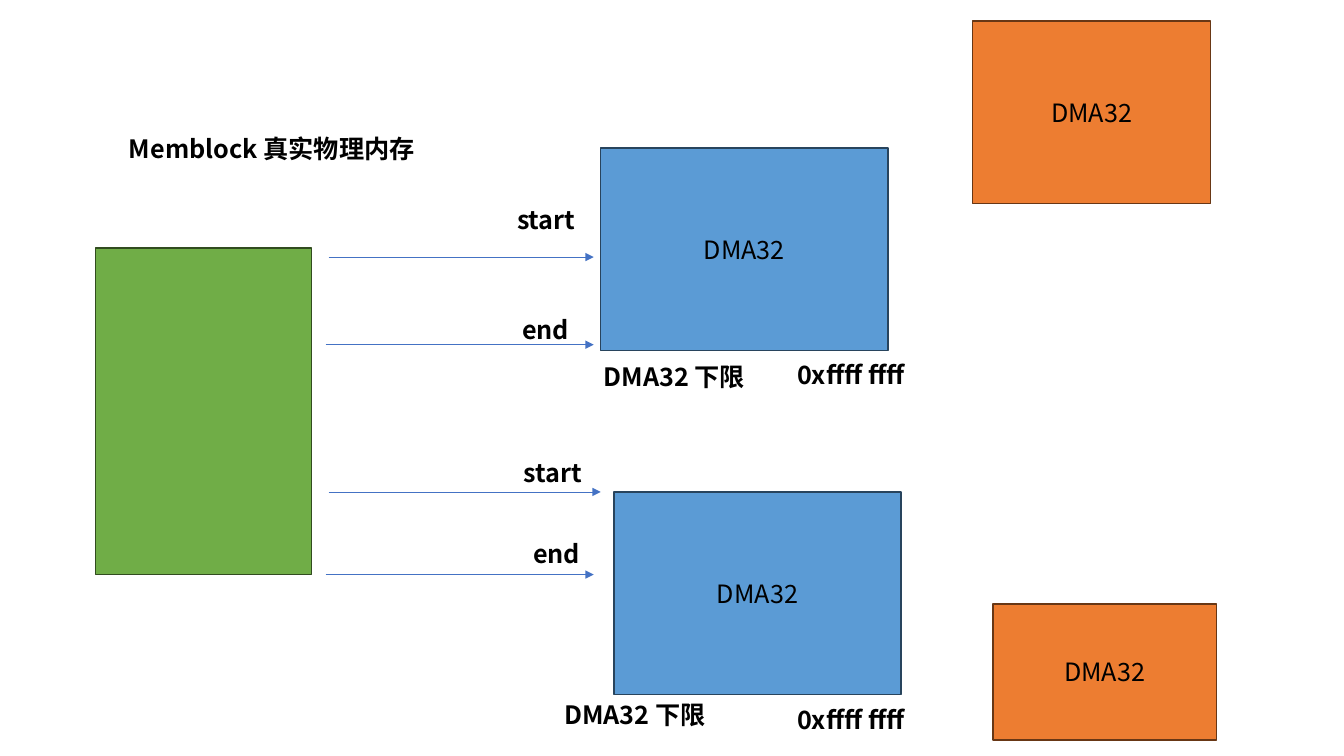
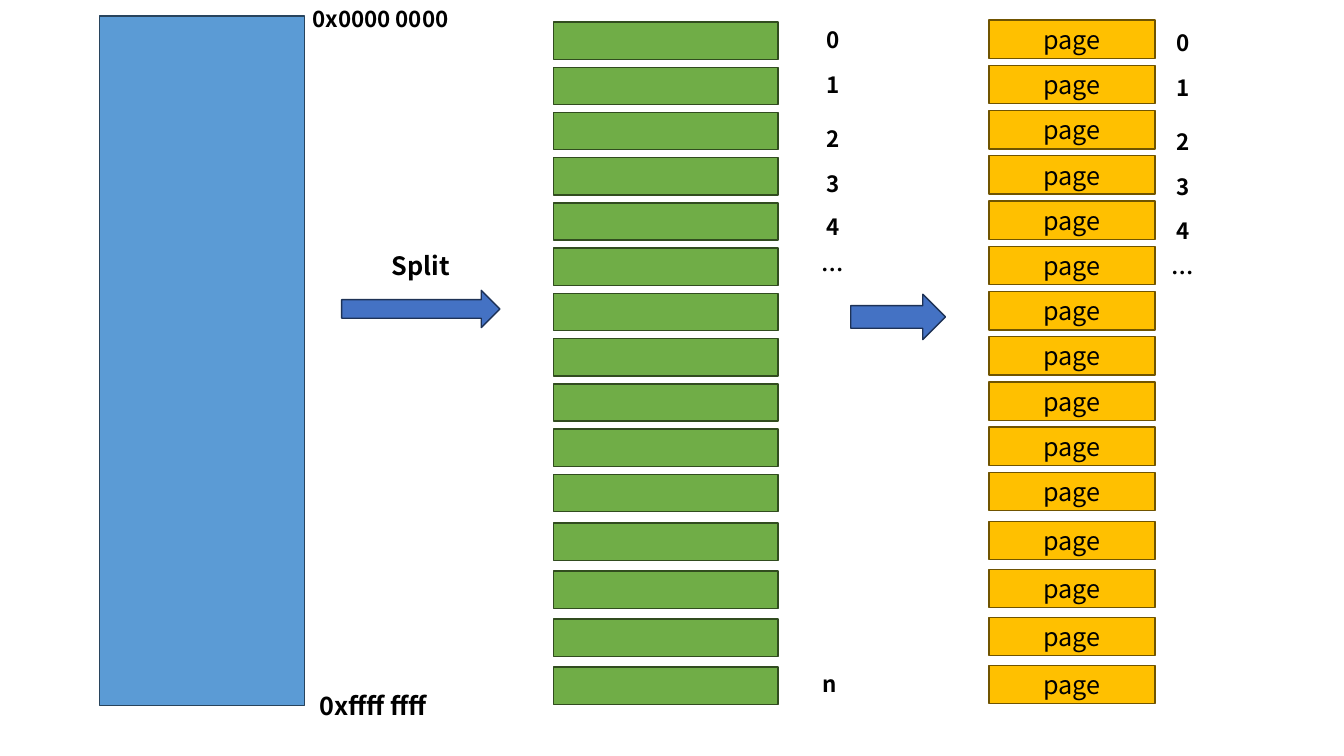
import pptx
import pptx.util
import pptx.dml.color
import pptx.enum.shapes
import pptx.enum.text
import pptx.oxml
import pptx.oxml.ns
from lxml import etree

Pt = pptx.util.Pt
Color = pptx.dml.color.RGBColor
Shape = pptx.enum.shapes.MSO_SHAPE
Align = pptx.enum.text.PP_ALIGN
qn = pptx.oxml.ns.qn

FONT = "Noto Sans CJK SC"
BLACK = Color(0x00, 0x00, 0x00)
ARROW = Color(0x44, 0x72, 0xC4)
# Each pair is a fill and its outline
GREEN = Color(0x70, 0xAD, 0x47), Color(0x31, 0x4C, 0x1F)
BLUE = Color(0x5B, 0x9B, 0xD5), Color(0x28, 0x44, 0x5D)
ORANGE = Color(0xED, 0x7D, 0x31), Color(0x68, 0x37, 0x15)
GOLD = Color(0xFF, 0xC0, 0x00), Color(0x70, 0x54, 0x00)
NAVY = ARROW, Color(0x1E, 0x32, 0x56)


class Deck:
    """Holds the style and the current slide; lengths are in points."""

    def __init__(self):
        self.show = pptx.Presentation()
        self.show.slide_width = Pt(960)
        self.show.slide_height = Pt(540)
        self.slide = None

    def start(self):
        self.slide = self.show.slides.add_slide(self.show.slide_layouts[6])

    def letter(self, frame, text, size, bold, align):
        """Puts one styled paragraph into a text frame."""
        para = frame.paragraphs[0]
        para.text = text
        para.alignment = align
        font = para.font
        font.name = FONT
        font.size = Pt(size)
        font.bold = bold
        font.color.rgb = BLACK
        # East Asian letters take their typeface from a:ea
        style = para._p.pPr.find(qn("a:defRPr"))
        etree.SubElement(style, qn("a:ea"), typeface=FONT)

    def block(self, x, y, w, h, paint, text="", kind=Shape.RECTANGLE):
        item = self.slide.shapes.add_shape(kind, Pt(x), Pt(y), Pt(w), Pt(h))
        item.shadow.inherit = False
        fill, edge = paint
        item.fill.solid()
        item.fill.fore_color.rgb = fill
        item.line.color.rgb = edge
        item.line.width = Pt(1)
        if text:
            frame = item.text_frame
            frame.vertical_anchor = pptx.enum.text.MSO_ANCHOR.MIDDLE
            self.letter(frame, text, 18, False, Align.CENTER)

    def label(self, x, y, w, text, size=18, align=Align.LEFT):
        box = self.slide.shapes.add_textbox(Pt(x), Pt(y), Pt(w), Pt(size * 1.6))
        frame = box.text_frame
        frame.word_wrap = True
        frame.auto_size = pptx.enum.text.MSO_AUTO_SIZE.SHAPE_TO_FIT_TEXT
        self.letter(frame, text, size, True, align)

    def arrow(self, x, y, end):
        """Draws a thin level arrow from x to end."""
        kind = pptx.enum.shapes.MSO_CONNECTOR.STRAIGHT
        link = self.slide.shapes.add_connector(kind, Pt(x), Pt(y), Pt(end), Pt(y))
        link.line.color.rgb = ARROW
        link.line.width = Pt(0.5)
        props = link._element.spPr
        etree.SubElement(props.find(qn("a:ln")), qn("a:tailEnd"), type="triangle")
        etree.SubElement(props, qn("a:effectLst"))

    def marks(self, x, tops, texts):
        for top, text in zip(tops, texts):
            self.label(x, top, 55.4, text, 16, Align.CENTER)


def zones(deck):
    deck.start()
    deck.block(68.4, 177.1, 154.1, 233.3, GREEN)
    deck.label(85, 91.4, 219.6, "Memblock 真实物理内存")
    for x, y in (429.1, 105.8), (438.5, 351.4):
        deck.block(x, y, 205.2, 144.7, BLUE, "DMA32")
    for x, y, w, h in (694.8, 15.1, 169.9, 130.3), (709.2, 431.3, 159.8, 97.2):
        deck.block(x, y, w, h, ORANGE, "DMA32")
    for x, y, end in ((234.7, 183.6, 424.1), (232.6, 246.2, 424.1),
                      (234.7, 351.4, 429.1), (232.6, 410.4, 424.1)):
        deck.arrow(x, y, end)
    for x, y, w, text in ((362.2, 142.6, 107.3, "start"), (365.8, 221, 85, "end"),
                          (367.2, 323.3, 57, "start"), (373.7, 380.9, 85, "end"),
                          (424.1, 254.2, 131, "DMA32 下限"),
                          (396, 496.1, 219.6, "DMA32 下限"),
                          (562.3, 253.4, 107.3, "0xffff ffff"),
                          (562.3, 499.7, 107.3, "0xffff ffff")):
        deck.label(x, y, w, text)


def pages(deck):
    deck.start()
    deck.block(71.3, 11.5, 146.2, 492.5, BLUE)
    deck.label(205.9, 0, 131.8, "0x0000 0000", 16, Align.CENTER)
    deck.label(206.6, 489.6, 120.2, "0xffff ffff", align=Align.CENTER)
    deck.label(240.5, 175, 120.2, "Split", align=Align.CENTER)
    for x, y, w, h in (244.1, 207.4, 113, 26.6), (607.7, 210.2, 67.7, 32.4):
        deck.block(x, y, w, h, NAVY, kind=Shape.RIGHT_ARROW)

    # Eleven rows close together, then four a little wider apart
    rows = [15.8 + 32.3 * i for i in range(11)] + [373.7 + 34.3 * i for i in range(4)]
    for y in rows:
        deck.block(395.3, y, 160.6, 26.6, GREEN)
        deck.block(706.3, y - 1.4, 118.8, 27.4, GOLD, "page")

    tops = [15, 47, 85.7, 118, 149, 179.3]
    deck.marks(567.4, tops, "01234…")
    deck.marks(565.2, [475.2], "n")
    deck.marks(817.2, [top + 2.2 for top in tops], "01234…")


def main():
    deck = Deck()
    zones(deck)
    pages(deck)
    deck.show.save("out.pptx")


if __name__ == "__main__":
    main()
